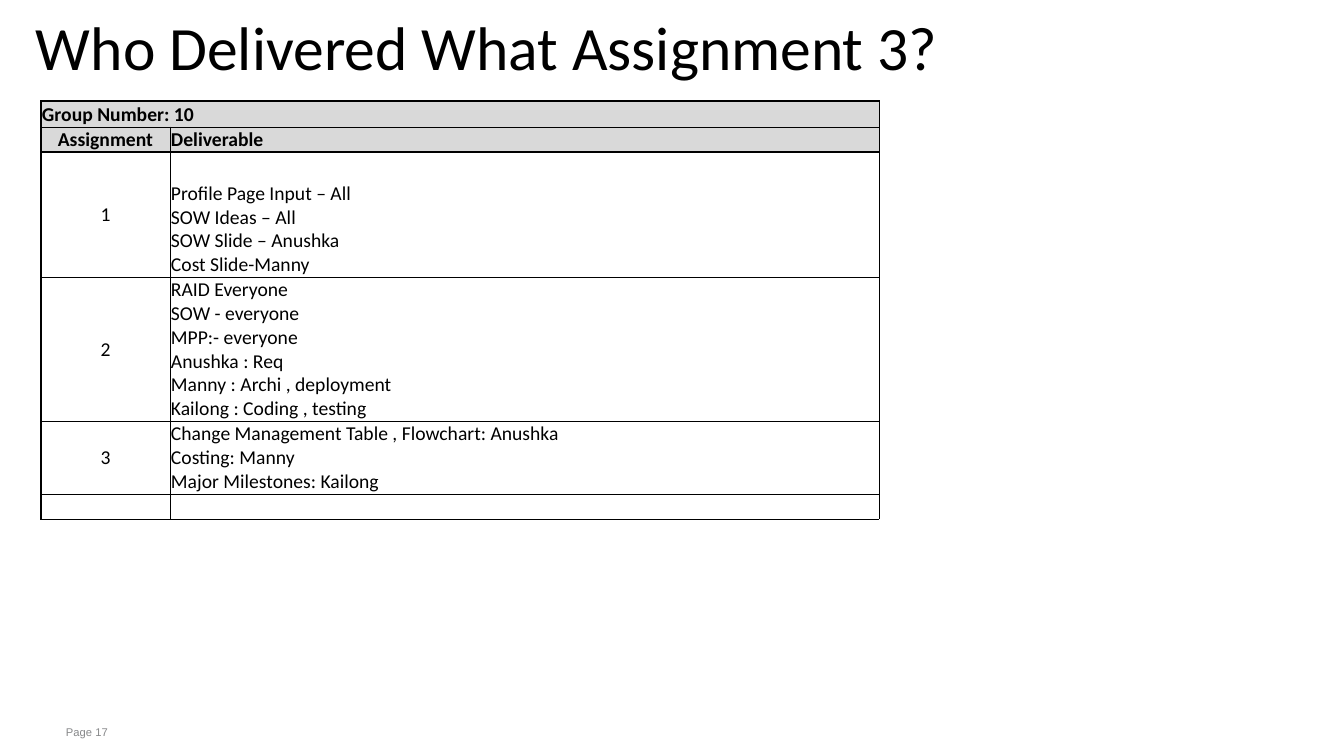
from pptx import Presentation
from pptx.dml.color import RGBColor
from pptx.enum.text import MSO_ANCHOR, PP_ALIGN
from pptx.oxml import parse_xml
from pptx.oxml.ns import nsdecls
from pptx.util import Pt

MID, LOW = MSO_ANCHOR.MIDDLE, MSO_ANCHOR.BOTTOM
LEFT, MIDDLE = PP_ALIGN.LEFT, PP_ALIGN.CENTER

# Content
TITLE = "Who Delivered What Assignment 3?"
PAGE = "Page 17"
ROWS = [
    (["Group Number: 10"], []),
    (["Assignment"], ["Deliverable"]),
    (["1"], ["Profile Page Input – All", "SOW Ideas – All",
             "SOW Slide – Anushka", "Cost Slide-Manny"]),
    (["2"], ["RAID Everyone", "SOW - everyone", "MPP:- everyone",
             "Anushka : Req", "Manny : Archi , deployment",
             "Kailong : Coding , testing"]),
    (["3"], ["Change Management Table , Flowchart: Anushka",
             "Costing: Manny", "Major Milestones: Kailong"]),
    ([], []),
]
HEADS = 2
WIDTHS = [129, 709]
HEIGHTS = [26, 25, 125, 144, 73, 25]
BLACK, GRAY, SHADE = "000000", "87888A", "D9D9D9"


def px(n):
    return round(n * 914400 / 100.8)


def color(code):
    return RGBColor.from_string(code)


def style(item, **values):
    for name, value in values.items():
        setattr(item, name, value)


def write(frame, lines, size, face, code, bold=False, **layout):
    for i, line in enumerate(lines or [""]):
        para = frame.paragraphs[0] if i == 0 else frame.add_paragraph()
        style(para, text=line, **layout)
        style(para.font, size=Pt(size), name=face, bold=bold)
        para.font.color.rgb = color(code)


def label(slide, box, text, pad, anchor, *font, **layout):
    frame = slide.shapes.add_textbox(*map(px, box)).text_frame
    style(frame, word_wrap=True, vertical_anchor=anchor,
          margin_left=px(8), margin_right=px(8),
          margin_top=px(pad), margin_bottom=px(pad))
    write(frame, [text], *font, **layout)


def border(cell, sides):
    props = cell._tc.get_or_add_tcPr()
    for i, (side, width) in enumerate(sides.items()):
        props.insert(i, parse_xml(
            f'<a:ln{side} {nsdecls("a")} w="{Pt(width)}"><a:solidFill>'
            f'<a:srgbClr val="{BLACK}"/></a:solidFill></a:ln{side}>'))


deck = Presentation()
style(deck, slide_width=px(1344), slide_height=px(756))
slide = deck.slides.add_slide(deck.slide_layouts[6])

# Page number and title
label(slide, (58, 720, 1088, 24), PAGE, 5, MSO_ANCHOR.TOP, 8, "Arial", GRAY)
label(slide, (28, 26, 965, 55), TITLE, 0, MID, 44, "Calibri", BLACK,
      line_spacing=0.75)

# Deliverables table
grid = slide.shapes.add_table(
    len(ROWS), len(WIDTHS), px(41), px(101),
    px(sum(WIDTHS)), px(sum(HEIGHTS))).table
style(grid, first_row=False, horz_banding=False)
for col, width in zip(grid.columns, WIDTHS):
    col.width = px(width)
for row, height in zip(grid.rows, HEIGHTS):
    row.height = px(height)

for r, pair in enumerate(ROWS):
    head = r < HEADS
    for c, lines in enumerate(pair):
        cell = grid.cell(r, c)
        style(cell, margin_left=px(1), margin_right=px(1),
              margin_top=px(1), margin_bottom=0,
              vertical_anchor=MID if c == 0 and not head else LOW)
        write(cell.text_frame, lines, 14, "Calibri", BLACK, head,
              alignment=MIDDLE if c == 0 and r > 0 else LEFT)
        if head:
            cell.fill.solid()
            cell.fill.fore_color.rgb = color(SHADE)
        else:
            cell.fill.background()
        border(cell, {"L": 1 if c == 0 else 0.5, "R": 0.5,
                      "T": 1 if r in (0, HEADS) else 0.5,
                      "B": 1 if r == HEADS - 1 else 0.5})
grid.cell(0, 0).merge(grid.cell(0, 1))

deck.save("out.pptx")
